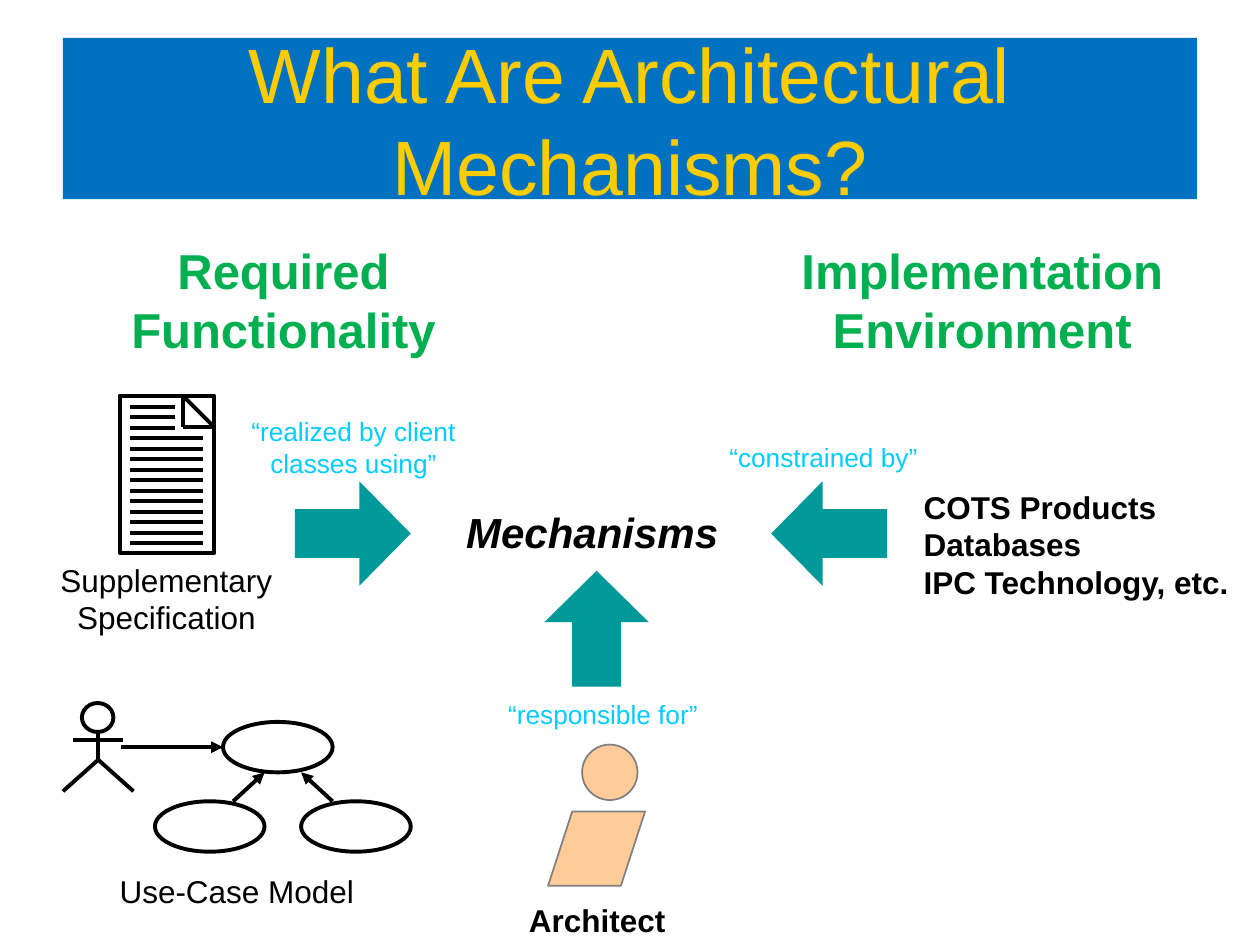
from lxml import etree
from pptx import Presentation, util as u
from pptx.dml.color import RGBColor
from pptx.enum import shapes, text
from pptx.oxml.ns import qn

In = u.Inches
rgb = RGBColor.from_string
MSO = shapes.MSO_SHAPE
BLACK, TEAL, SKIN, GREEN, CYAN = "000000", "009999", "FFCC99", "00B050", "00CCFF"

prs = Presentation()
prs.slide_width, prs.slide_height = In(10), In(7.5)
s = prs.slides.add_slide(prs.slide_layouts[6])


def add_shape(kind, x, y, w, h, fill=None, line=None, width=2.25):
    sp = s.shapes.add_shape(kind, In(x), In(y), In(w), In(h))
    sp.shadow.inherit = False
    if fill:
        sp.fill.solid()
        sp.fill.fore_color.rgb = rgb(fill)
    else:
        sp.fill.background()
    if line:
        sp.line.color.rgb = rgb(line)
        sp.line.width = u.Pt(width)
    else:
        sp.line.fill.background()
    return sp


def add_line(x1, y1, x2, y2, arrow=False):
    cn = s.shapes.add_connector(shapes.MSO_CONNECTOR.STRAIGHT, In(x1), In(y1), In(x2), In(y2))
    cn.line.color.rgb = rgb(BLACK)
    cn.line.width = u.Pt(2.25)
    if arrow:
        etree.SubElement(cn.line._get_or_add_ln(), qn("a:tailEnd"), type="triangle")
    etree.SubElement(cn._element.spPr, qn("a:effectLst"))


# Title bar
title = add_shape(MSO.RECTANGLE, 0.5, 0.3, 9, 1.28, "0070C0")
tf = title.text_frame
tf.text = "What Are Architectural Mechanisms?"
tf.word_wrap = True
tf.vertical_anchor = text.MSO_ANCHOR.MIDDLE
p = tf.paragraphs[0]
p.alignment = text.PP_ALIGN.CENTER
font = p.runs[0].font
font.name, font.size, font.color.rgb = "Arial", u.Pt(44), rgb("FFCC00")

# Architect figure
add_shape(MSO.OVAL, 4.62, 5.91, 0.44, 0.44, SKIN, "808080", 1)
body = add_shape(MSO.PARALLELOGRAM, 4.35, 6.44, 0.77, 0.59, SKIN, "808080", 1)
body.adjustments[0] = 0.325

# Specification page with folded corner
add_shape(MSO.RECTANGLE, 0.95, 3.14, 0.75, 1.25, line=BLACK)
add_line(1.45, 3.14, 1.7, 3.39)
add_line(1.45, 3.14, 1.45, 3.39)
add_line(1.7, 3.39, 1.45, 3.39)

# Text rows on the page: three short, then eleven long
for i in range(14):
    y = 3.23 + i * 1.08 / 13
    add_line(1.03, y, 1.39 if i < 3 else 1.61, y)

# Stick-figure actor
add_shape(MSO.OVAL, 0.65, 5.58, 0.25, 0.23, line=BLACK)
add_line(0.78, 5.81, 0.78, 6.03)
add_line(0.58, 5.87, 0.98, 5.87)
fb = s.shapes.build_freeform(In(0.5), In(6.28))
fb.add_line_segments([(In(0.78), In(6.03)), (In(1.06), In(6.28))], close=False)
legs = fb.convert_to_shape()
legs.shadow.inherit = False
legs.fill.background()
legs.line.color.rgb = rgb(BLACK)
legs.line.width = u.Pt(2.25)

# Use cases and their arrows
for x, y in [(1.77, 5.73), (1.23, 6.36), (2.39, 6.36)]:
    add_shape(MSO.OVAL, x, y, 0.87, 0.4, line=BLACK)
for ends in [(0.96, 5.93, 1.77, 5.93), (1.85, 6.36, 2.1, 6.13), (2.64, 6.36, 2.39, 6.13)]:
    add_line(*ends, arrow=True)

# Block arrows pointing at the mechanisms
for kind, x, y, w, h in [
    (MSO.RIGHT_ARROW, 2.34, 3.82, 0.92, 0.83),
    (MSO.LEFT_ARROW, 6.12, 3.82, 0.92, 0.83),
    (MSO.UP_ARROW, 4.32, 4.53, 0.83, 0.92),
]:
    sp = add_shape(kind, x, y, w, h, TEAL)
    sp.adjustments[0], sp.adjustments[1] = 0.467, 0.492

# Labels: text, box, size, colour, bold, italic, wrap, centred
labels = [
    ("Required Functionality", (0.75, 1.85, 3, 1.05), 28, GREEN, True, False, True, True),
    ("Implementation Environment", (6.17, 1.85, 3.25, 1.05), 28, GREEN, True, False, True, True),
    ("“realized by client classes using”", (1.64, 3.24, 2.33, 0.62), 15, CYAN, False, False, True, True),
    ("“constrained by”", (5.37, 3.44, 2.33, 0.37), 15, CYAN, False, False, True, True),
    ("“responsible for”", (3.62, 5.48, 2.33, 0.37), 15, CYAN, False, False, True, True),
    ("Mechanisms", (3.2, 3.96, 3, 0.52), 24, BLACK, True, True, True, True),
    ("COTS Products\vDatabases\vIPC Technology, etc.", (7.21, 3.81, 2.79, 1.02), 18, BLACK, True, False, True, False),
    ("Supplementary\nSpecification", (0.38, 4.4, 1.88, 0.7), 18, BLACK, False, False, False, True),
    ("Use-Case Model", (0.85, 6.87, 2.06, 0.4), 18, BLACK, False, False, False, True),
    ("Architect", (4.04, 7.1, 1.4, 0.4), 18, BLACK, True, False, False, True),
]
for words, box, size, color, bold, italic, wrap, centred in labels:
    tf = s.shapes.add_textbox(*map(In, box)).text_frame
    tf.text = words
    tf.word_wrap = wrap
    tf.auto_size = text.MSO_AUTO_SIZE.SHAPE_TO_FIT_TEXT
    tf.margin_left = tf.margin_right = In(0.12 if wrap else 0.1)
    tf.margin_top = tf.margin_bottom = In(0.06 if wrap else 0.05)
    for p in tf.paragraphs:
        p.alignment = text.PP_ALIGN.CENTER if centred else text.PP_ALIGN.LEFT
        for r in p.runs:
            r.font.name, r.font.size = "Arial", u.Pt(size)
            r.font.bold, r.font.italic = bold, italic
            r.font.color.rgb = rgb(color)

prs.save("out.pptx")
